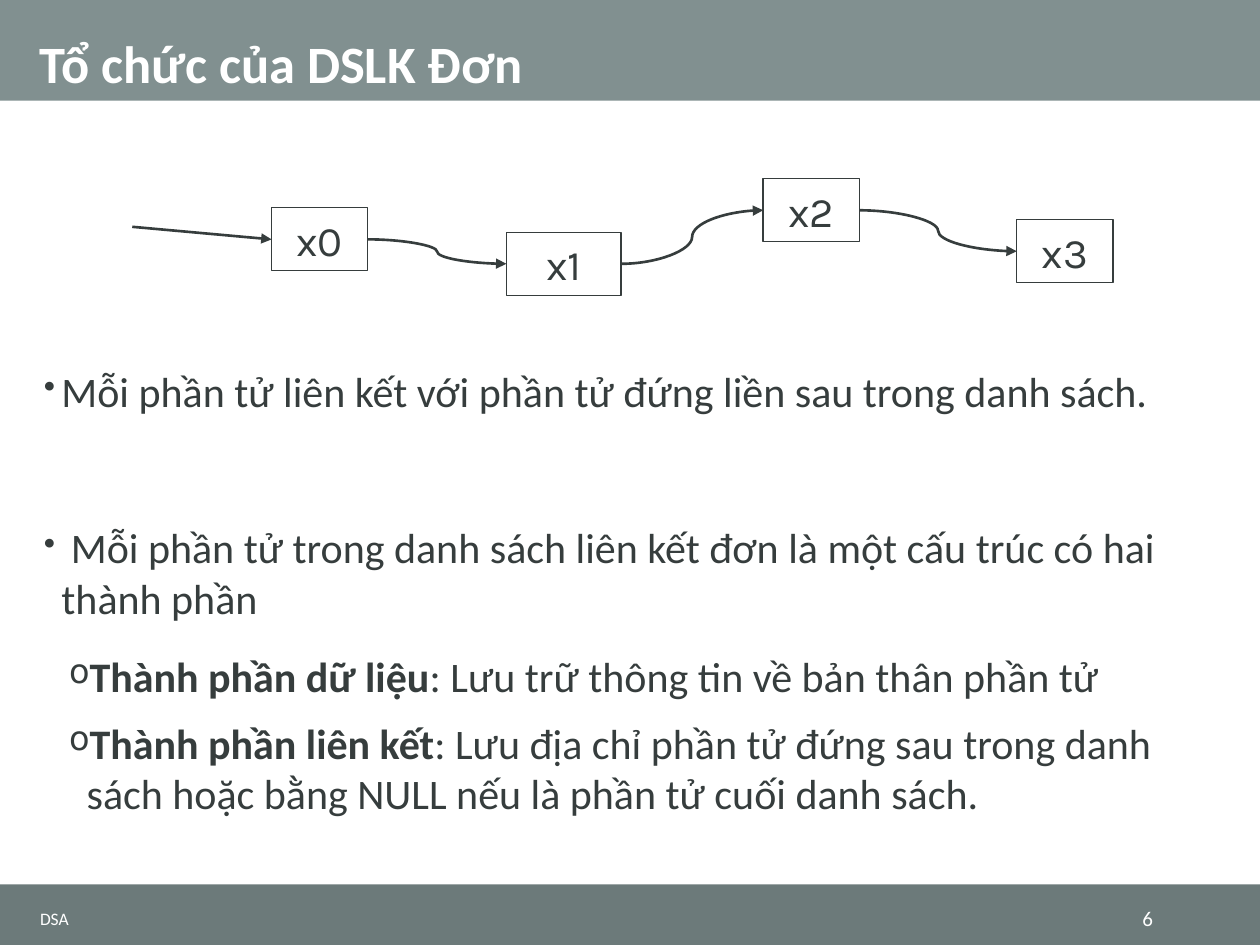
from dataclasses import dataclass
from lxml.etree import SubElement
from pptx import Presentation
from pptx.dml.color import RGBColor
from pptx.enum.shapes import MSO_CONNECTOR, MSO_SHAPE
from pptx.enum.text import MSO_ANCHOR, PP_ALIGN
from pptx.oxml.ns import qn
from pptx.util import Pt


@dataclass(frozen=True)
class Theme:
    ink: RGBColor = RGBColor(0x36, 0x3D, 0x3D)
    white: RGBColor = RGBColor(0xFF, 0xFF, 0xFF)
    head: RGBColor = RGBColor(0x81, 0x90, 0x90)
    foot: RGBColor = RGBColor(0x6C, 0x7A, 0x7A)
    font: str = "Calibri"
    code: str = "Karla"
    title: float = 30
    text: float = 24
    page: float = 12
    note: float = 10


@dataclass(frozen=True)
class Box:
    left: float
    top: float
    width: float
    height: float

    def frame(self) -> tuple:
        return Pt(self.left), Pt(self.top), Pt(self.width), Pt(self.height)


@dataclass(frozen=True)
class Node:
    name: str
    box: Box


@dataclass(frozen=True)
class Point:
    lead: str
    rest: str
    mark: str
    indent: float
    before: float
    after: float


THEME = Theme()
NODES = [
    Node("x0", Box(155.2, 118.8, 55, 36)),
    Node("x1", Box(289.4, 132.8, 65.5, 36)),
    Node("x2", Box(436.1, 102.2, 55, 36)),
    Node("x3", Box(581, 125.6, 55, 36)),
]
POINTS = [
    Point("", "Mỗi phần tử liên kết với phần tử đứng liền sau trong danh sách.",
          "•", 12.24, 0, 6),
    Point("", " Mỗi phần tử trong danh sách liên kết đơn là một cấu trúc có hai thành phần",
          "•", 12.24, 54.5, 6),
    Point("Thành phần dữ liệu", ": Lưu trữ thông tin về bản thân phần tử",
          "o", 26.64, 9.6, 0),
    Point("Thành phần liên kết",
          ": Lưu địa chỉ phần tử đứng sau trong danh sách hoặc bằng NULL nếu là phần tử cuối danh sách.",
          "o", 26.64, 9.6, 0),
]


def style(run, size: float, color: RGBColor, face: str = THEME.font, bold: bool = False) -> None:
    font = run.font
    font.name, font.size, font.bold = face, Pt(size), bold
    font.color.rgb = color


def add_band(slide, box: Box, color: RGBColor) -> None:
    band = slide.shapes.add_shape(MSO_SHAPE.RECTANGLE, *box.frame())
    band.shadow.inherit = False
    band.fill.solid()
    band.fill.fore_color.rgb = color
    band.line.fill.background()


def add_label(slide, box: Box, text: str, size: float, anchor=MSO_ANCHOR.MIDDLE,
              align=PP_ALIGN.LEFT, bold: bool = False) -> None:
    frame = slide.shapes.add_textbox(*box.frame()).text_frame
    frame.word_wrap = True
    frame.vertical_anchor = anchor
    frame.text = text
    line = frame.paragraphs[0]
    line.alignment = align
    line.line_spacing = 0.9 if bold else 1.0
    style(line.runs[0], size, THEME.white, bold=bold)


def add_node(slide, node: Node):
    shape = slide.shapes.add_shape(MSO_SHAPE.RECTANGLE, *node.box.frame())
    shape.shadow.inherit = False
    shape.fill.background()
    shape.line.color.rgb = THEME.ink
    shape.line.width = Pt(0.75)
    frame = shape.text_frame
    frame.vertical_anchor = MSO_ANCHOR.MIDDLE
    frame.text = node.name
    frame.paragraphs[0].alignment = PP_ALIGN.CENTER
    style(frame.paragraphs[0].runs[0], THEME.text, THEME.ink, THEME.code)
    return shape


def add_arrow(slide, kind, goal, source=None, left: float = 0, top: float = 0) -> None:
    arrow = slide.shapes.add_connector(kind, Pt(left), Pt(top), Pt(left), Pt(top))
    if source is not None:
        arrow.begin_connect(source, 3)
    arrow.end_connect(goal, 1)
    arrow.line.color.rgb = THEME.ink
    arrow.line.width = Pt(1.5)
    SubElement(arrow.line._get_or_add_ln(), qn("a:tailEnd"), type="triangle")
    SubElement(arrow._element.spPr, qn("a:effectLst"))


def add_point(line, point: Point) -> None:
    line.text = point.lead
    line.add_run().text = point.rest
    for run in line.runs:
        bold = bool(point.lead) and run.text == point.lead
        style(run, THEME.text, THEME.ink, bold=bold)
    line.space_before, line.space_after = Pt(point.before), Pt(point.after)
    props = line._p.get_or_add_pPr()
    props.set("marL", str(Pt(point.indent)))
    props.set("indent", str(-Pt(10)))
    SubElement(props, qn("a:buSzPct"), val="80000")
    SubElement(props, qn("a:buChar"), char=point.mark)


def add_points(slide, box: Box, points: list[Point]) -> None:
    frame = slide.shapes.add_textbox(*box.frame()).text_frame
    frame.word_wrap = True
    frame.margin_top = Pt(138.3)
    for rank, point in enumerate(points):
        line = frame.add_paragraph() if rank else frame.paragraphs[0]
        add_point(line, point)


def main() -> None:
    deck = Presentation()
    deck.slide_width, deck.slide_height = Pt(720), Pt(540)
    slide = deck.slides.add_slide(deck.slide_layouts[6])
    add_band(slide, Box(0, 0, 720, 57.6), THEME.head)
    add_band(slide, Box(0, 505.4, 720, 34.6), THEME.foot)
    add_label(slide, Box(15.8, 0, 689, 57.6), "Tổ chức của DSLK Đơn",
              THEME.title, MSO_ANCHOR.BOTTOM, bold=True)
    add_points(slide, Box(15.8, 70.6, 689, 435.6), POINTS)
    shapes = [add_node(slide, node) for node in NODES]
    for source, goal in zip(shapes, shapes[1:]):
        add_arrow(slide, MSO_CONNECTOR.CURVE, goal, source)
    add_arrow(slide, MSO_CONNECTOR.STRAIGHT, shapes[0], left=75.6, top=129.6)
    add_label(slide, Box(15.8, 515.5, 500.4, 18.7), "DSA", THEME.note)
    add_label(slide, Box(609.8, 515.5, 56.2, 18.7), "6", THEME.page, align=PP_ALIGN.RIGHT)
    deck.save("out.pptx")


if __name__ == "__main__":
    main()
